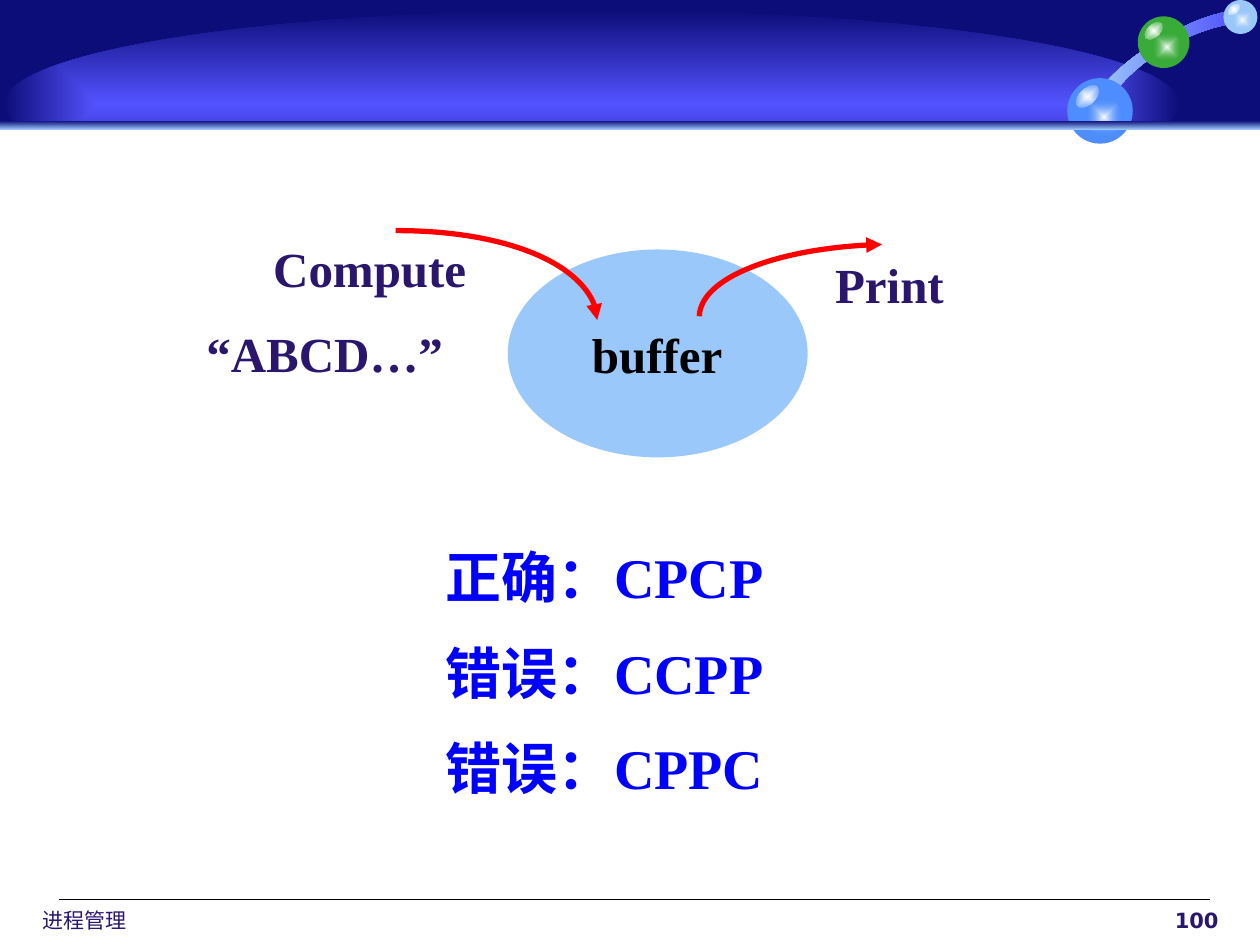
import pptx
import pptx.util
import pptx.dml.color
import pptx.enum.shapes
import pptx.enum.text
import pptx.oxml
import pptx.oxml.ns
import lxml.etree

Inches = pptx.util.Inches
qn = pptx.oxml.ns.qn
KIND = pptx.enum.shapes.MSO_SHAPE
ALIGN = pptx.enum.text.PP_ALIGN
NAVY, BLUE, SKY, INK = "0D0D79", "5353FF", "9AC8FA", "2B166E"
SERIF, SANS = "Times New Roman", "DejaVu Sans"


def color(code):
    """Turn a hex string into a colour."""
    return pptx.dml.color.RGBColor.from_string(code)


def blend(shape, first, last, angle=None, alpha=100):
    """Fill with a gradient: linear at an angle, or from the centre outward."""
    if angle is None:
        way = ('<a:path path="shape"><a:fillToRect l="50000" t="50000" '
               'r="50000" b="50000"/></a:path>')
    else:
        way = f'<a:lin ang="{angle * 60000}" scaled="0"/>'
    new = pptx.oxml.parse_xml(
        f'<a:gradFill {pptx.oxml.ns.nsdecls("a")} rotWithShape="1"><a:gsLst>'
        f'<a:gs pos="0"><a:srgbClr val="{first}"/></a:gs>'
        f'<a:gs pos="100000"><a:srgbClr val="{last}">'
        f'<a:alpha val="{alpha * 1000}"/></a:srgbClr></a:gs>'
        f'</a:gsLst>{way}</a:gradFill>')
    shape.fill.gradient()
    props = shape.element.spPr
    props.replace(props.find(qn("a:gradFill")), new)


def add_form(slide, kind, left, top, width, height, fill=None, turn=0):
    """Add a preset shape without line or shadow."""
    shape = slide.shapes.add_shape(
        kind, Inches(left), Inches(top), Inches(width), Inches(height))
    shape.shadow.inherit = False
    shape.line.fill.background()
    shape.rotation = turn
    if fill:
        shape.fill.solid()
        shape.fill.fore_color.rgb = color(fill)
    return shape


def add_text(slide, text, left, top, width, height, size=28, font=SERIF,
             ink=INK, bold=True, align=ALIGN.LEFT, gap=0, inset=0.1):
    """Add a text box, one paragraph for each line of text."""
    box = slide.shapes.add_textbox(
        Inches(left), Inches(top), Inches(width), Inches(height))
    frame = box.text_frame
    frame.word_wrap = True
    frame.margin_left = Inches(inset)
    frame.text = text
    for rank, para in enumerate(frame.paragraphs):
        para.alignment = align
        para.space_before = pptx.util.Pt(gap if rank else 0)
        para.font.size = pptx.util.Pt(size)
        para.font.name = font
        para.font.bold = bold
        para.font.color.rgb = color(ink)


def add_curve(slide, left, top, points, close=False):
    """Add an outline of cubic curves; points are relative to left and top."""
    spots = [(Inches(left + x), Inches(top + y)) for x, y in points]
    form = slide.shapes.build_freeform(*spots[0], scale=1.0)
    form.add_line_segments(spots[1:], close=close)
    shape = form.convert_to_shape()
    shape.shadow.inherit = False
    track = next(shape.element.iter(qn("a:path")))
    lines = track.findall(qn("a:lnTo"))
    for start in range(0, len(lines) - 2, 3):
        bend = lxml.etree.Element(qn("a:cubicBezTo"))
        track.replace(lines[start], bend)
        for line in lines[start:start + 3]:
            bend.append(line[0])
            if line.getparent() is track:
                track.remove(line)
    return shape


def add_arrow(slide, left, top, points):
    """Add a red curved arrow."""
    shape = add_curve(slide, left, top, points)
    shape.fill.background()
    shape.line.color.rgb = color("FF0000")
    shape.line.width = pptx.util.Pt(3)
    lines = shape.element.spPr.find(qn("a:ln"))
    lxml.etree.SubElement(lines, qn("a:tailEnd"), type="triangle")


def add_ball(slide, left, top, size, fill):
    """Add a glossy ball with a glow and a highlight."""
    add_form(slide, KIND.OVAL, left, top, size, size, fill)
    glow = add_form(slide, KIND.OVAL, left + 0.28 * size, top + 0.32 * size,
                    0.56 * size, 0.56 * size)
    blend(glow, "FFFFFF", fill, alpha=0)
    shine = add_form(slide, KIND.OVAL, left + 0.1 * size, top + 0.16 * size,
                     0.42 * size, 0.24 * size, turn=317.2)
    blend(shine, "FFFFFF", fill)


def add_banner(slide, left, top, width):
    """Add the top band with its dome, ribbon, balls and lower edge."""
    add_form(slide, KIND.RECTANGLE, left, top, width, 1, NAVY)
    dome = add_form(slide, KIND.OVAL, left + 0.03, top + 0.08, 9.33, 1.49)
    blend(dome, BLUE, NAVY)
    add_form(slide, KIND.RECTANGLE, left, top + 0.99, width, 5.86, "FFFFFF")
    ribbon = add_curve(slide, left + 8.7, top + 0.08, [
        (1.02, 0.12), (0.87, 0.15), (0.7, 0.22), (0.54, 0.31),
        (0.38, 0.41), (0.24, 0.53), (0.15, 0.65),
        (0.1, 0.65), (0.05, 0.66), (0, 0.66),
        (0.12, 0.51), (0.29, 0.36), (0.5, 0.24),
        (0.7, 0.11), (0.92, 0.03), (1.1, 0)], close=True)
    ribbon.line.fill.background()
    blend(ribbon, SKY, BLUE, angle=0)
    for x, y, size, fill in ((9.03, 0.13, 0.41, "39AB39"),
                             (8.47, 0.62, 0.52, "4D8DFF"),
                             (9.71, 0, 0.27, SKY)):
        add_ball(slide, left + x, top + y, size, fill)
    edge = add_form(slide, KIND.RECTANGLE, left, top + 0.96, width, 0.07)
    blend(edge, NAVY, SKY, angle=90)


def add_footer(slide, left, top, width):
    """Add the rule, the chapter name and the page number."""
    rule = slide.shapes.add_connector(
        pptx.enum.shapes.MSO_CONNECTOR.STRAIGHT, Inches(left + 0.33),
        Inches(top), Inches(left + width - 0.17), Inches(top))
    rule.line.color.rgb = color("000000")
    rule.line.width = pptx.util.Pt(0.75)
    lxml.etree.SubElement(rule.element.spPr, qn("a:effectLst"))
    add_text(slide, "进程管理", left, top + 0.01, 2.75, 0.33, size=12,
             font=SANS, bold=False, inset=0.2)
    add_text(slide, "100", left + width - 3.17, top + 0.01, 3.17, 0.33,
             size=12, font=SANS, align=ALIGN.RIGHT)


def add_buffer(slide, left, top):
    """Add the buffer with its writer and its reader."""
    add_form(slide, KIND.OVAL, left + 2.49, top + 0.15, 2.38, 1.65, SKY)
    add_arrow(slide, left + 1.6, top,
              [(0, 0), (0.88, 0), (1.6, 0.32), (1.6, 0.71)])
    add_arrow(slide, left + 4.01, top + 0.11,
              [(0, 0.57), (0.01, 0.27), (0.65, 0.02), (1.45, 0)])
    add_text(slide, "buffer", left + 3.06, top + 0.7, 1.24, 0.57,
             ink="000000")
    add_text(slide, "Compute", left + 0.53, top + 0.01, 1.74, 0.57)
    add_text(slide, "Print", left + 4.99, top + 0.14, 1.07, 0.57)
    add_text(slide, "“ABCD…”", left, top + 0.69, 2.36, 0.57)


def main():
    """Build and save the slide."""
    deck = pptx.Presentation()
    deck.slide_width, deck.slide_height = Inches(10), Inches(7.5)
    slide = deck.slides.add_slide(deck.slide_layouts[6])
    add_banner(slide, 0, 0, 10)
    add_footer(slide, 0.14, 7.14, 9.63)
    add_buffer(slide, 1.54, 1.83)
    add_text(slide, "正确：CPCP\n错误：CCPP\n错误：CPPC", 3.44, 4.26, 3.69, 2.23,
             size=32, ink="0000FF", gap=16)
    deck.save("out.pptx")


if __name__ == "__main__":
    main()
